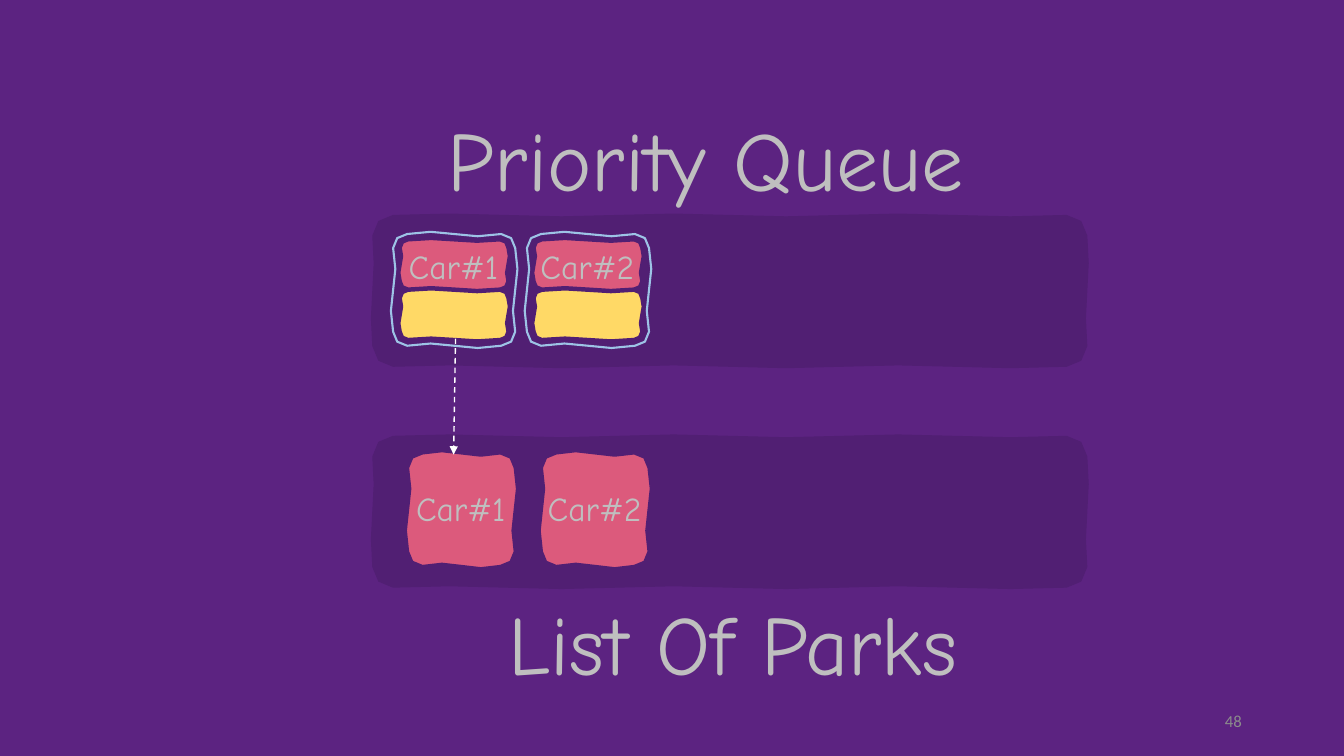
"""Draw the priority queue of cars above the list of parks."""
import math
from dataclasses import dataclass, replace

import pptx
import pptx.dml.color
import pptx.enum.dml
import pptx.enum.shapes
import pptx.enum.text
import pptx.oxml
import pptx.oxml.ns
import pptx.shapes.autoshape
import pptx.shapes.connector
import pptx.slide
import pptx.util


@dataclass(frozen=True)
class Theme:
    ground: str = "5C2381"
    panel: str = "511F73"
    car: str = "DC5A7C"
    link: str = "FFD966"
    frame: str = "9DC3E6"
    arrow: str = "FFFFFF"
    text: str = "BFBFBF"
    page: str = "8C8C8C"
    hand: str = "Comic Neue"
    plain: str = "Calibri"
    title: float = 60
    label: float = 24
    small: float = 12


@dataclass(frozen=True)
class Block:
    left: float
    top: float
    width: float
    height: float
    fill: str
    line: str
    weight: float = 1
    round: float = 10
    wave: float = 1.6
    waves: int = 1


@dataclass(frozen=True)
class Label:
    text: str
    left: float
    top: float
    width: float
    height: float
    size: float


THEME = Theme()
STEP = 95.6
PANEL = Block(266.4, 154, 509.8, 107.5, THEME.panel, THEME.panel,
              round=14.4, wave=1, waves=3)
PARK = Block(291.8, 324.2, 75.6, 79.8, THEME.car, THEME.panel)
FRAME = Block(280.8, 167.2, 87.2, 79.8, THEME.panel, THEME.frame, 1.5)
CELL = Block(286.6, 172, 75.6, 33.8, THEME.car, THEME.panel,
             round=5, wave=1)
LINK = replace(CELL, top=208, fill=THEME.link)
TITLES = (
    Label("Priority Queue", 241.2, 73.4, 525.6, 80, THEME.title),
    Label("List Of Parks", 260.6, 419, 525.6, 80, THEME.title),
)
CARS = ("Car#1", "Car#2")


def tint(code: str) -> pptx.dml.color.RGBColor:
    """Turn a hex code into a colour."""
    return pptx.dml.color.RGBColor.from_string(code)


def trace(block: Block) -> list[tuple[int, int]]:
    """Give the points of a rounded box with wavy sides."""
    rad = block.round
    wide, high = block.width - 2 * rad, block.height - 2 * rad
    x, y = block.left + rad, block.top + rad
    cores = [(x, y), (x + wide, y), (x + wide, y + high), (x, y + high)]
    spots = []
    for side, (x, y) in enumerate(cores):
        for turn in (0, 45, 90):
            angle = math.radians(180 + 90 * side + turn)
            spots.append((x + rad * math.cos(angle),
                          y + rad * math.sin(angle)))
        far_x, far_y = cores[(side + 1) % 4]
        waves = block.waves if side % 2 == 0 else 1
        count = 4 * waves
        for index in range(1, count):
            part = index / count
            reach = rad + block.wave * math.sin(math.tau * waves * part)
            spots.append((x + (far_x - x) * part + reach * math.cos(angle),
                          y + (far_y - y) * part + reach * math.sin(angle)))
    return [(pptx.util.Pt(x), pptx.util.Pt(y)) for x, y in spots]


def draw(slide: pptx.slide.Slide, block: Block) -> pptx.shapes.autoshape.Shape:
    """Draw one hand-made box."""
    first, *rest = trace(block)
    pen = slide.shapes.build_freeform(*first, scale=1.0)
    pen.add_line_segments(rest, close=True)
    shape = pen.convert_to_shape()
    shape.shadow.inherit = False
    shape.fill.solid()
    shape.fill.fore_color.rgb = tint(block.fill)
    shape.line.color.rgb = tint(block.line)
    shape.line.width = pptx.util.Pt(block.weight)
    return shape


def write(slide: pptx.slide.Slide, label: Label, font: str = THEME.hand,
          color: str = THEME.text,
          align: pptx.enum.text.PP_ALIGN = pptx.enum.text.PP_ALIGN.CENTER,
          anchor: pptx.enum.text.MSO_ANCHOR = pptx.enum.text.MSO_ANCHOR.TOP) -> None:
    """Write one line of text in a box."""
    box = slide.shapes.add_textbox(*map(pptx.util.Pt, (
        label.left, label.top, label.width, label.height)))
    frame = box.text_frame
    frame.word_wrap = True
    frame.vertical_anchor = anchor
    line = frame.paragraphs[0]
    line.text = label.text
    line.alignment = align
    line.font.name = font
    line.font.size = pptx.util.Pt(label.size)
    line.font.color.rgb = tint(color)


def point(slide: pptx.slide.Slide) -> pptx.shapes.connector.Connector:
    """Draw the dashed arrow from the queue to the park."""
    ends = (325.4, LINK.top + LINK.height, 324, PARK.top + 0.5)
    arrow = slide.shapes.add_connector(
        pptx.enum.shapes.MSO_CONNECTOR.STRAIGHT, *map(pptx.util.Pt, ends))
    arrow.line.color.rgb = tint(THEME.arrow)
    arrow.line.width = pptx.util.Pt(1)
    arrow.line.dash_style = pptx.enum.dml.MSO_LINE.DASH
    space = pptx.oxml.ns.nsdecls("a")
    props = arrow.element.spPr
    props.find(pptx.oxml.ns.qn("a:ln")).append(
        pptx.oxml.parse_xml(f'<a:tailEnd {space} type="triangle"/>'))
    props.append(pptx.oxml.parse_xml(f"<a:effectLst {space}/>"))
    return arrow


def main() -> None:
    """Build and save the slide."""
    deck = pptx.Presentation()
    deck.slide_width, deck.slide_height = pptx.util.Pt(960), pptx.util.Pt(540)
    slide = deck.slides.add_slide(deck.slide_layouts[6])
    slide.background.fill.solid()
    slide.background.fill.fore_color.rgb = tint(THEME.ground)
    for panel, title in zip((PANEL, replace(PANEL, top=311.8)), TITLES):
        draw(slide, panel)
        write(slide, title)
    for index in range(len(CARS)):
        for block in (PARK, FRAME, CELL, LINK):
            draw(slide, replace(block, left=block.left + index * STEP))
    point(slide)
    for index, car in enumerate(CARS):
        for left, top in ((270.6, 172), (275.8, 345)):
            write(slide, Label(car, left + index * STEP, top,
                               106.6, 36, THEME.label))
    write(slide, Label("48", 678.2, 500.4, 216, 28.8, THEME.small),
          THEME.plain, THEME.page, pptx.enum.text.PP_ALIGN.RIGHT,
          pptx.enum.text.MSO_ANCHOR.MIDDLE)
    deck.save("out.pptx")


if __name__ == "__main__":
    main()
